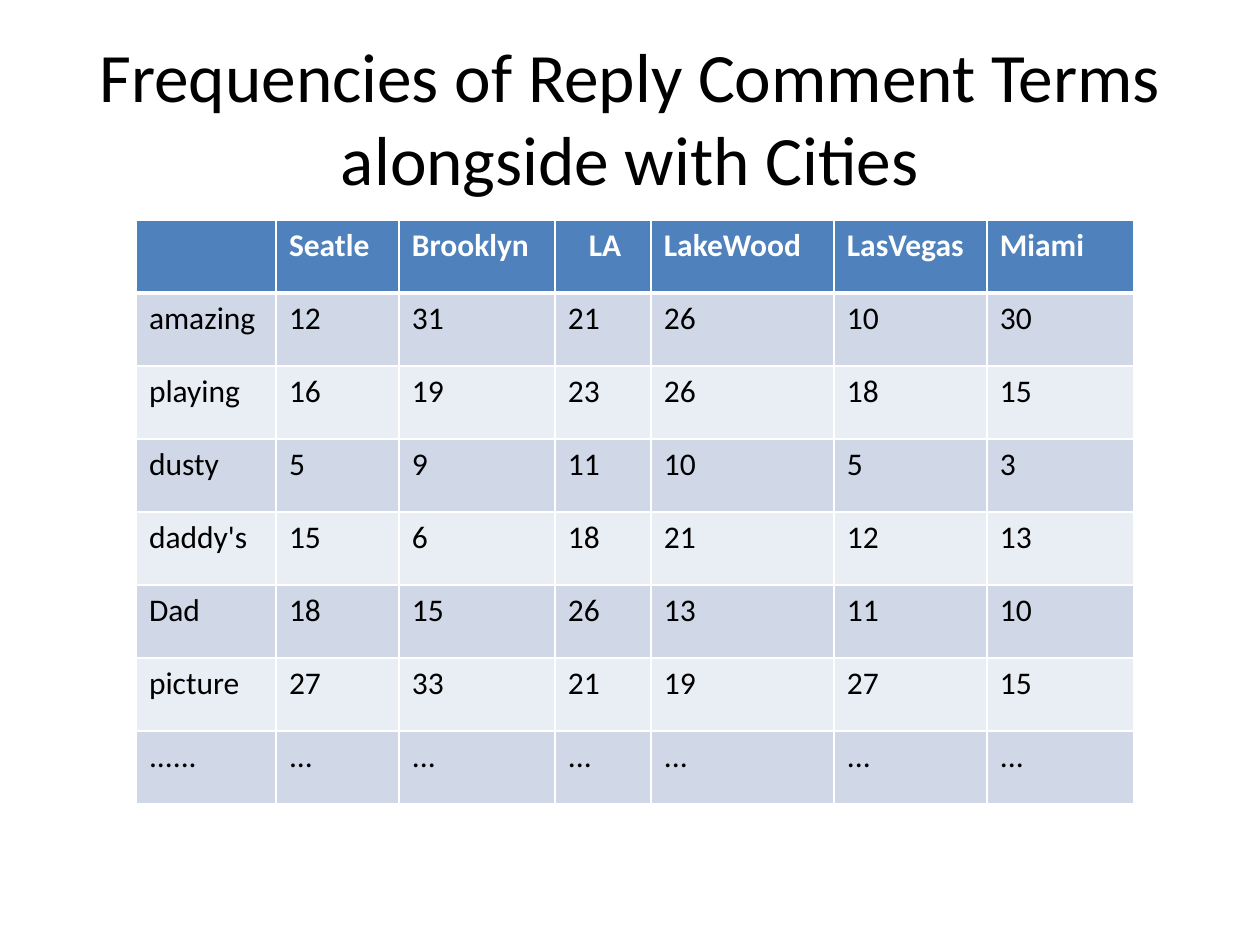
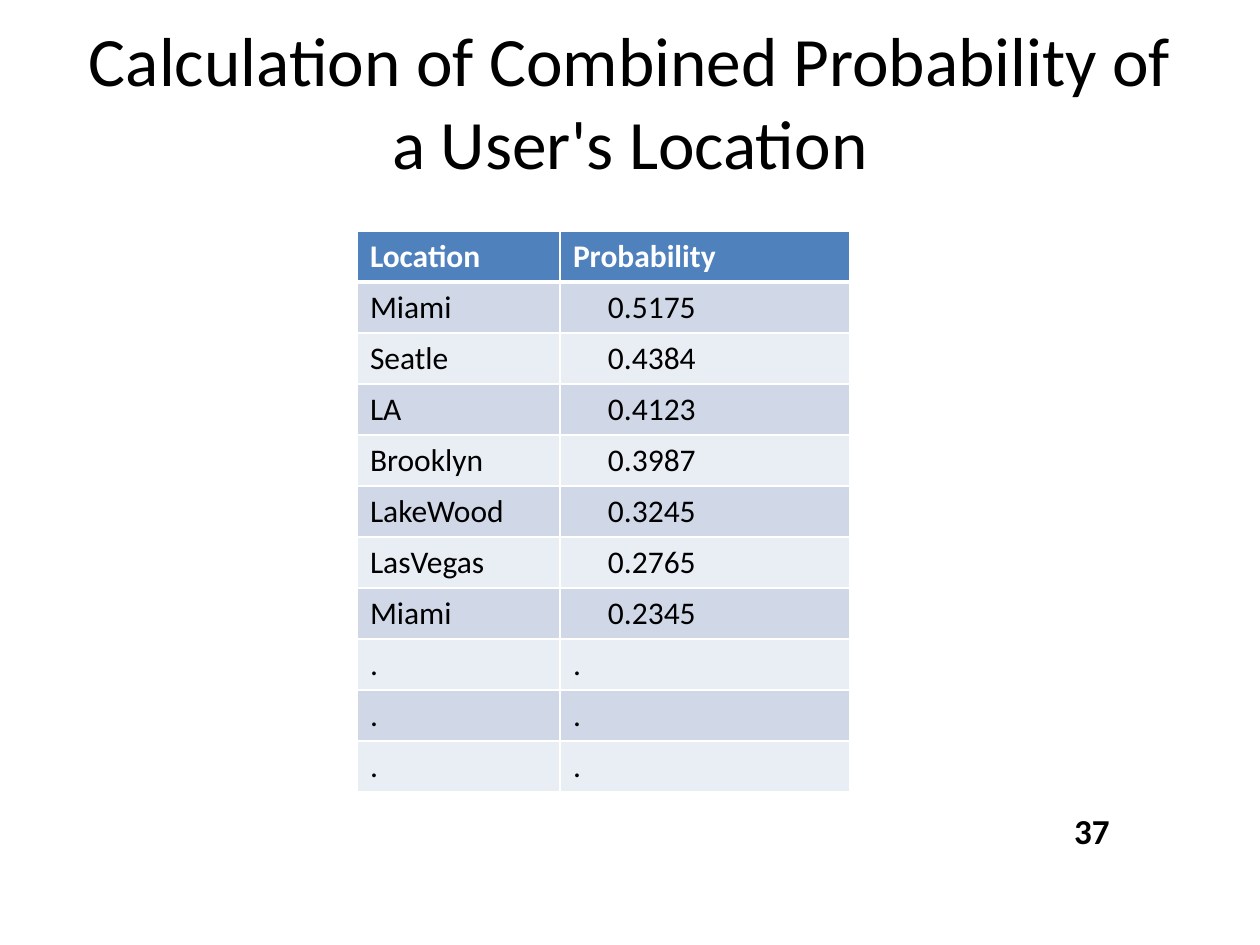
from dataclasses import dataclass

from lxml.etree import SubElement
from pptx import Presentation
from pptx.dml.color import RGBColor
from pptx.enum.shapes import MSO_SHAPE
from pptx.enum.text import MSO_ANCHOR, PP_ALIGN
from pptx.oxml.ns import qn
from pptx.util import Emu, Pt

PX_PER_INCH = 126
CELL_INSET = 13


@dataclass(frozen=True)
class Theme:
    font: str = "Calibri"
    ink: str = "000000"
    paper: str = "FFFFFF"
    header: str = "4F81BD"
    bands: tuple = ("D0D8E8", "E9EDF4")
    title_size: float = 39.6
    cell_size: int = 18
    number_size: int = 20
    rule: int = 1
    header_rule: int = 3


THEME = Theme()

CITY_COUNTS = [
    ["", "Seatle", "Brooklyn", "LA", "LakeWood", "LasVegas", "Miami"],
    ["amazing", 12, 31, 21, 26, 10, 30],
    ["playing", 16, 19, 23, 26, 18, 15],
    ["dusty", 5, 9, 11, 10, 5, 3],
    ["daddy's", 15, 6, 18, 21, 12, 13],
    ["Dad", 18, 15, 26, 13, 11, 10],
    ["picture", 27, 33, 21, 19, 27, 15],
    ["......"] + ["..."] * 6,
]

LOCATION_ODDS = [
    ["Location", "Probability"],
    ["Miami", "0.5175"],
    ["Seatle", "0.4384"],
    ["LA", "0.4123"],
    ["Brooklyn", "0.3987"],
    ["LakeWood", "0.3245"],
    ["LasVegas", "0.2765"],
    ["Miami", "0.2345"],
] + [[".", "."]] * 3


def px(length):
    return Emu(round(length * 914400 / PX_PER_INCH))


def rgb(colour):
    return RGBColor.from_string(colour)


def write(frame, text, size, colour=THEME.ink, bold=False, align=PP_ALIGN.LEFT):
    paragraph = frame.paragraphs[0]
    paragraph.alignment = align
    run = paragraph.add_run()
    run.text = str(text)
    font_format = {"name": THEME.font, "size": Pt(size), "bold": bold}
    for attribute, value in font_format.items():
        setattr(run.font, attribute, value)
    run.font.color.rgb = rgb(colour)


def add_title(slide, text, box):
    frame = slide.shapes.add_textbox(*map(px, box)).text_frame
    frame.word_wrap = True
    frame.vertical_anchor = MSO_ANCHOR.MIDDLE
    write(frame, text, THEME.title_size, align=PP_ALIGN.CENTER)


def rule_cell(cell, widths):
    """Draw the cell's four borders; widths maps a side (L, R, T, B) to points."""
    properties = cell._tc.get_or_add_tcPr()
    for position, (side, width) in enumerate(widths.items()):
        line = SubElement(properties, qn(f"a:ln{side}"), w=str(Pt(width)))
        fill = SubElement(line, qn("a:solidFill"))
        SubElement(fill, qn("a:srgbClr"), val=THEME.paper)
        properties.insert(position, line)


def add_banded_table(slide, rows, left, top, columns, row_height, indents):
    """Fill a table; indents maps (row, column) to extra left space in px."""
    table = slide.shapes.add_table(
        len(rows), len(columns), px(left), px(top),
        px(sum(columns)), px(row_height * len(rows))).table
    for column, width in zip(table.columns, columns):
        column.width = px(width)
    for r, values in enumerate(rows):
        table.rows[r].height = px(row_height)
        is_header = r == 0
        for c, value in enumerate(values):
            cell = table.cell(r, c)
            cell.margin_left = px(CELL_INSET + indents.get((r, c), 0))
            cell.fill.solid()
            cell.fill.fore_color.rgb = rgb(
                THEME.header if is_header else THEME.bands[(r - 1) % 2])
            rule_cell(cell, {
                "L": THEME.rule,
                "R": THEME.rule,
                "T": THEME.header_rule if r == 1 else THEME.rule,
                "B": THEME.header_rule if is_header else THEME.rule,
            })
            if value != "":
                write(cell.text_frame, value, THEME.cell_size,
                      THEME.paper if is_header else THEME.ink, is_header)


def add_page_number(slide, number, box):
    plate = slide.shapes.add_shape(MSO_SHAPE.RECTANGLE, *map(px, box))
    plate.shadow.inherit = False
    plate.fill.solid()
    plate.fill.fore_color.rgb = rgb(THEME.paper)
    plate.line.color.rgb = rgb(THEME.paper)
    plate.line.width = Pt(2)
    plate.text_frame.vertical_anchor = MSO_ANCHOR.MIDDLE
    write(plate.text_frame, number, THEME.number_size, bold=True,
          align=PP_ALIGN.CENTER)


def build_frequencies(slide):
    add_title(slide, "Frequencies of Reply Comment Terms alongside with Cities",
              (63, 38, 1134, 157))
    add_banded_table(slide, CITY_COUNTS, 136, 220,
                     [140, 123, 156, 96, 183, 153, 147], 73, {(0, 3): 21})


def build_probabilities(slide):
    add_title(slide, "Calculation of Combined Probability of a User's Location",
              (63, 22, 1134, 157))
    figure_indents = {(row, 1): 35 for row in range(1, 8)}
    add_banded_table(slide, LOCATION_ODDS, 357, 231, [203, 290], 51,
                     figure_indents)
    add_page_number(slide, 37, (1029, 788, 126, 84))


def main():
    deck = Presentation()
    deck.slide_width, deck.slide_height = px(1260), px(945)
    blank = deck.slide_layouts[6]
    for build in (build_frequencies, build_probabilities):
        build(deck.slides.add_slide(blank))
    deck.save("out.pptx")


if __name__ == "__main__":
    main()
